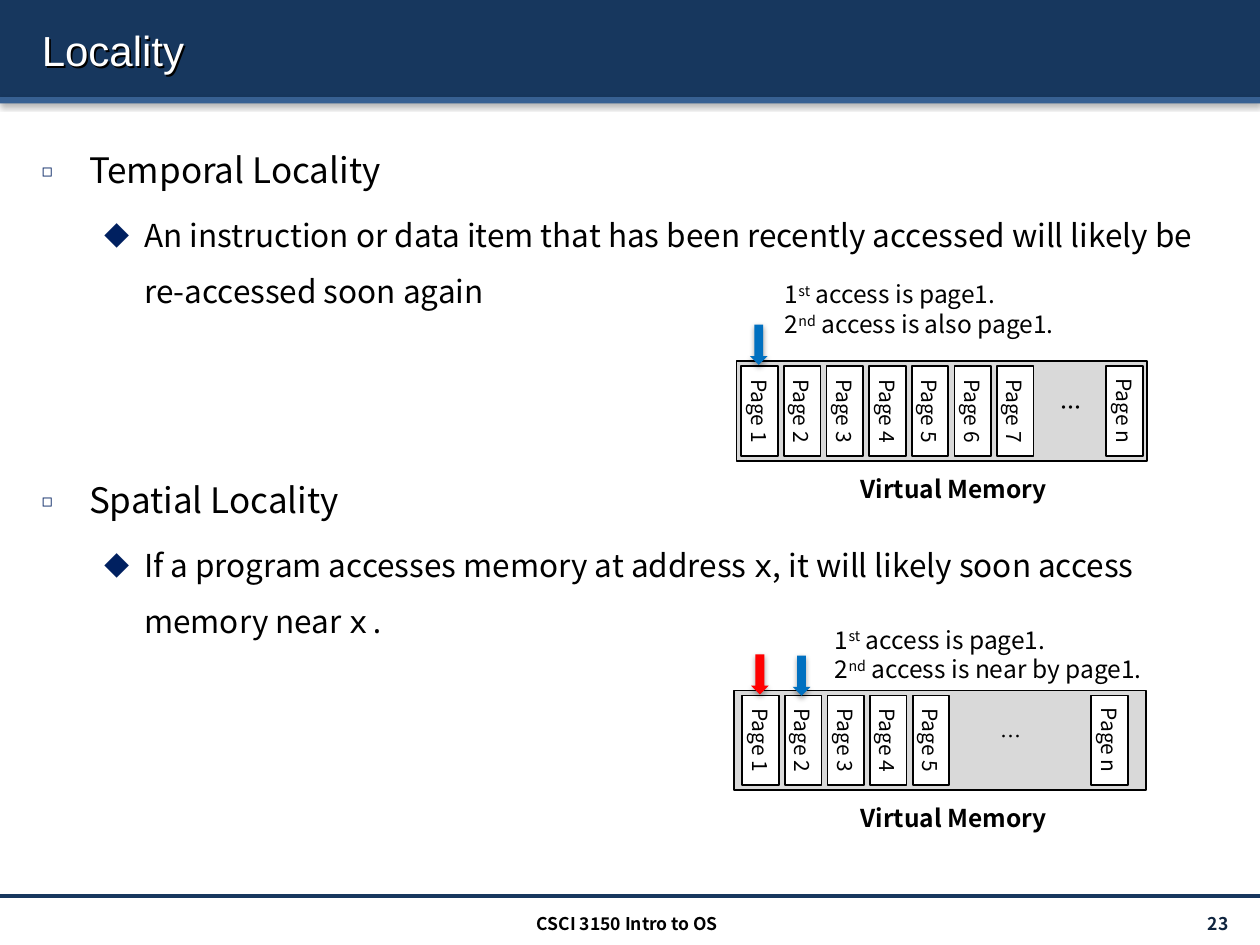
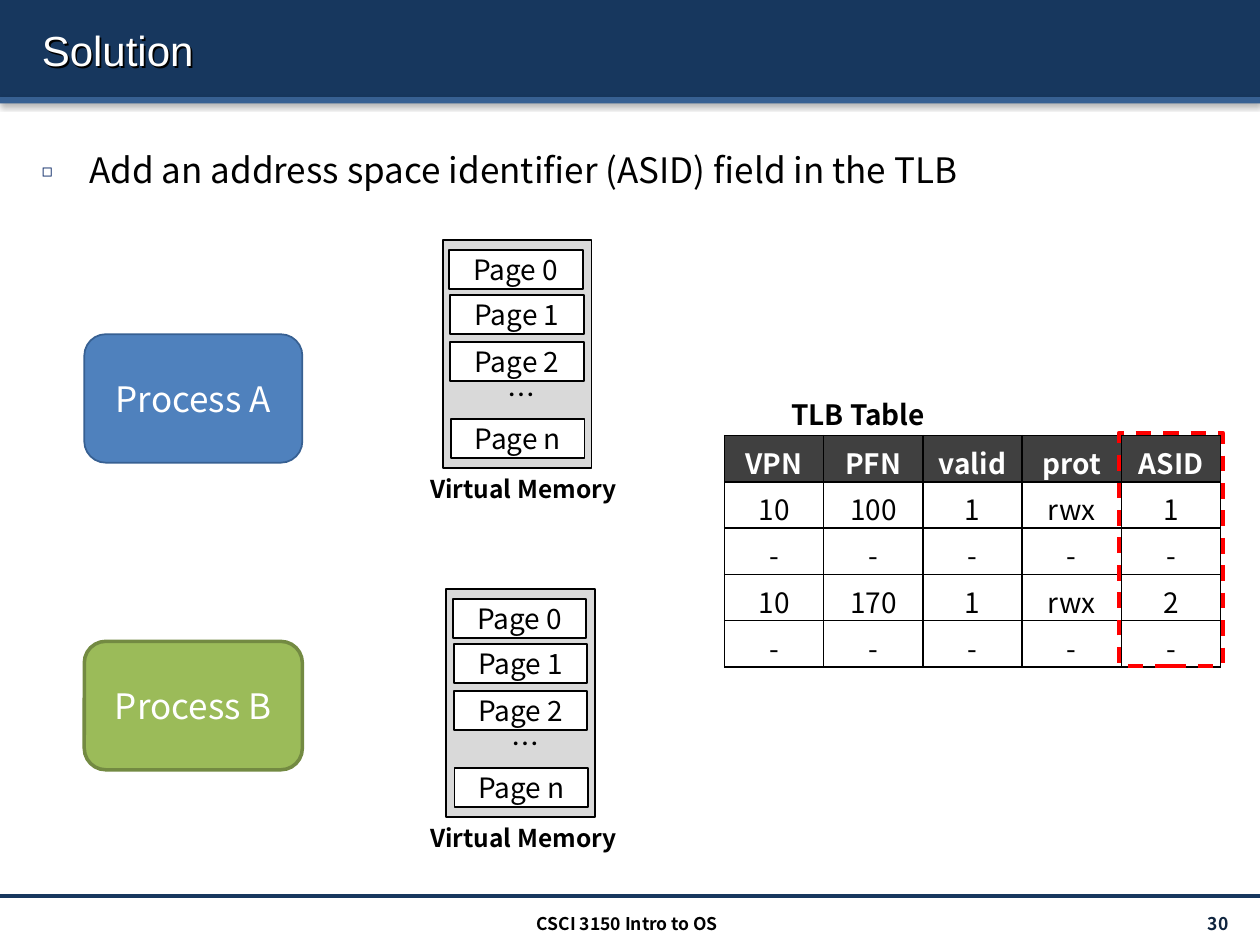
from lxml import etree
from pptx import Presentation
from pptx.dml.color import RGBColor
from pptx.enum.dml import MSO_LINE
from pptx.enum.shapes import MSO_CONNECTOR, MSO_SHAPE
from pptx.enum.text import MSO_ANCHOR, PP_ALIGN
from pptx.oxml import parse_xml
from pptx.oxml.ns import qn
from pptx.util import Pt

RECT, ROUND, ARROW = MSO_SHAPE.RECTANGLE, MSO_SHAPE.ROUNDED_RECTANGLE, MSO_SHAPE.DOWN_ARROW
LEFT, CENTER, RIGHT = PP_ALIGN.LEFT, PP_ALIGN.CENTER, PP_ALIGN.RIGHT
TOP, MIDDLE = MSO_ANCHOR.TOP, MSO_ANCHOR.MIDDLE
SANS, MONO = "Noto Sans CJK KR", "Noto Sans Mono"
NAVY, STEEL, BULLET = "17375E", "376092", "002060"
BLACK, WHITE, GREY = "000000", "FFFFFF", "D9D9D9"
RED, BLUE = "FF0000", "0070C0"
A = "http://schemas.openxmlformats.org/drawingml/2006/main"
SHADOW = (f'<a:effectLst xmlns:a="{A}"><a:outerShdw blurRad="40000" dist="20000" '
          'dir="5400000" rotWithShape="0"><a:srgbClr val="000000">'
          '<a:alpha val="38000"/></a:srgbClr></a:outerShdw></a:effectLst>')
# Crisp black shadow towards the lower right
TITLE_SHADOW = (f'<a:effectLst xmlns:a="{A}"><a:outerShdw blurRad="0" dist="18000" '
                'dir="2700000"><a:srgbClr val="000000"/></a:outerShdw></a:effectLst>')
rgb = RGBColor.from_string


def write(p, text, size=14, color=BLACK, bold=False, font=SANS, align=LEFT, sup=False):
    """Add one formatted run to a paragraph."""
    p.alignment = align
    r = p.add_run()
    r.text = text
    r.font.size, r.font.bold, r.font.name = Pt(size), bold, font
    r.font.color.rgb = rgb(color)
    if sup:
        r.font._element.set("baseline", "30000")


def add_box(s, kind, x, y, w, h, fill=None, line=None, width=1, shadow=None,
            rot=0, anchor=MIDDLE, inset=7.2):
    """Add a preset shape, or a text box when kind is None."""
    frame = Pt(x), Pt(y), Pt(w), Pt(h)
    sp = s.shapes.add_textbox(*frame) if kind is None else s.shapes.add_shape(kind, *frame)
    sp.rotation = rot
    if fill:
        sp.fill.solid()
        sp.fill.fore_color.rgb = rgb(fill)
    else:
        sp.fill.background()
    if line:
        sp.line.color.rgb = rgb(line)
        sp.line.width = Pt(width)
    else:
        sp.line.fill.background()
    sp.shadow.inherit = False
    if shadow:
        pr = sp._element.spPr
        pr.replace(pr.find(qn("a:effectLst")), parse_xml(shadow))
    tf = sp.text_frame
    tf.word_wrap = True
    tf.vertical_anchor = anchor
    tf.margin_left = tf.margin_right = Pt(inset)
    return sp


prs = Presentation()
prs.slide_width, prs.slide_height = Pt(720), Pt(540)

TOPICS = [
    ("Locality", "23", [
        (69.5, [(0, [("Temporal Locality", SANS)]),
                (1, [("An instruction or data item that has been recently accessed "
                      "will likely be re-accessed soon again", SANS)])]),
        (258, [(0, [("Spatial Locality", SANS)]),
               (1, [("If a program accesses memory at address ", SANS), ("x", MONO),
                    (", it will likely soon access memory near ", SANS),
                    ("x.", MONO)])]),
    ]),
    ("Solution", "30", [
        (69.5, [(0, [("Add an address space identifier (ASID) field in the TLB", SANS)])]),
    ]),
]
# level: left margin, hanging indent, text size, bullet, bullet size in percent
LEVELS = [(27, 27, 20, "◻", 50), (58.5, 22.5, 18, "◆", 80)]

# Shared bands, title, footer and bulleted text
for title, number, blocks in TOPICS:
    s = prs.slides.add_slide(prs.slide_layouts[6])
    add_box(s, RECT, 0, 0, 720, 55.5, fill=NAVY, shadow=SHADOW)
    add_box(s, RECT, 0, 55.5, 720, 3.6, fill=STEEL, shadow=SHADOW)
    rule = s.shapes.add_connector(MSO_CONNECTOR.STRAIGHT, 0, Pt(512), Pt(720), Pt(512))
    rule.line.color.rgb = rgb(NAVY)
    rule.line.width = Pt(2)
    etree.SubElement(rule._element.spPr, qn("a:effectLst"))

    sp = add_box(s, None, 16.8, 5.5, 692, 46, shadow=TITLE_SHADOW)
    write(sp.text_frame.paragraphs[0], title, 24, WHITE, font="Arial")
    sp = add_box(s, None, 627, 519, 82, 17.5)
    write(sp.text_frame.paragraphs[0], number, 10, "0F243E", True, align=RIGHT)
    sp = add_box(s, None, 239, 518, 239, 17.5, anchor=TOP)
    write(sp.text_frame.paragraphs[0], "CSCI 3150 Intro to OS", 10, bold=True, align=CENTER)

    for y, items in blocks:
        tf = add_box(s, None, 16.8, y, 692, 150, anchor=TOP).text_frame
        for i, (level, runs) in enumerate(items):
            margin, hang, size, char, percent = LEVELS[level]
            p = tf.add_paragraph() if i else tf.paragraphs[0]
            pPr = p._p.get_or_add_pPr()
            pPr.set("marL", str(Pt(margin)))
            pPr.set("indent", str(-Pt(hang)))
            clr = etree.SubElement(pPr, qn("a:buClr"))
            etree.SubElement(clr, qn("a:srgbClr"), val=BULLET)
            etree.SubElement(pPr, qn("a:buSzPct"), val=str(percent * 1000))
            etree.SubElement(pPr, qn("a:buFont"), typeface=SANS)
            etree.SubElement(pPr, qn("a:buChar"), char=char)
            p.line_spacing = 1.5
            p.space_before = Pt(3.5 if i else 0)
            for text, font in runs:
                write(p, text, size, font=font)

locality, solution = prs.slides

# Locality: strips of pages, with their access arrows and captions
STRIPS = [
    dict(frame=(420.8, 206.3, 234.8, 57), x=408.5, y=224.4, count=7, last=617,
         dots=(586.4, 221.8), dots_align=CENTER, bold=True, note=(441.4, 156.2),
         second=" access is also page1.", label=267.1, arrows=[(428.6, 185.5, BLUE)]),
    dict(frame=(419.4, 394.6, 235.4, 57), x=409, y=412.6, count=5, last=608.4,
         dots=(564.5, 409.7), dots_align=LEFT, bold=False, note=(470, 353.5),
         second=" access is near by page1.", label=455.5,
         arrows=[(429.2, 373.9, RED), (453, 374.6, BLUE)]),
]
for strip in STRIPS:
    add_box(locality, RECT, *strip["frame"], fill=GREY, line=BLACK)
    pages = [(f"Page {i + 1}", strip["x"] + 24.35 * i) for i in range(strip["count"])]
    for name, x in pages + [("Page n", strip["last"])]:
        sp = add_box(locality, RECT, x, strip["y"], 51.1, 20.9, WHITE, BLACK, rot=90, inset=0)
        write(sp.text_frame.paragraphs[0], name, 12, align=CENTER)
    sp = add_box(locality, None, *strip["dots"], 51.1, 21.6, anchor=TOP)
    write(sp.text_frame.paragraphs[0], "…", 12, bold=strip["bold"], align=strip["dots_align"])
    for x, y, color in strip["arrows"]:
        add_box(locality, ARROW, x, y, 10.1, 23, fill=color, shadow=SHADOW)

    tf = add_box(locality, None, *strip["note"], 205, 41, anchor=TOP).text_frame
    lines = [("1", "st", " access is page1."), ("2", "nd", strip["second"])]
    for i, (digit, suffix, rest) in enumerate(lines):
        p = tf.add_paragraph() if i else tf.paragraphs[0]
        write(p, digit)
        write(p, suffix, sup=True)
        write(p, rest)
    sp = add_box(locality, None, 484.6, strip["label"], 130, 24.5, anchor=TOP)
    write(sp.text_frame.paragraphs[0], "Virtual Memory", bold=True)

# Solution: processes and their page stacks
PROCESSES = [
    ("Process A", 191, "4F81BD", STEEL, 1, 253, 137),
    ("Process B", 366.5, "9BBB59", "738A42", 2, 255, 336.4),
]
PAGES = [("Page 0", 3.7, 5.8), ("Page 1", 4.3, 31.6), ("Page 2", 4.3, 58.4),
         ("Page n", 4.8, 102.3)]
for name, top, fill, line, width, x, y in PROCESSES:
    sp = add_box(solution, ROUND, 48.2, top, 124.6, 73.4, fill, line, width)
    write(sp.text_frame.paragraphs[0], name, 20, WHITE, align=CENTER)
    add_box(solution, RECT, x, y, 85, 130.3, GREY, BLACK)
    for page, dx, dy in PAGES:
        sp = add_box(solution, RECT, x + dx, y + dy, 76.3, 22.3, WHITE, BLACK, inset=0)
        write(sp.text_frame.paragraphs[0], page, 16, align=CENTER)
    sp = add_box(solution, None, x + 30, y + 75.4, 83.5, 26.6, anchor=TOP)
    write(sp.text_frame.paragraphs[0], "…", 16)
    sp = add_box(solution, None, 230, y + 130.1, 138.2, 24.5, anchor=TOP)
    write(sp.text_frame.paragraphs[0], "Virtual Memory", bold=True, align=CENTER)

# Solution: TLB table
sp = add_box(solution, RECT, 445, 223.5, 111, 25, fill=WHITE, anchor=TOP)
write(sp.text_frame.paragraphs[0], "TLB Table", 16, bold=True)
ROWS = [
    ("VPN", "PFN", "valid", "prot", "ASID"),
    ("10", "100", "1", "rwx", "1"),
    ("-",) * 5,
    ("10", "170", "1", "rwx", "2"),
    ("-",) * 5,
]
table = solution.shapes.add_table(5, 5, Pt(414), Pt(249), Pt(283.5), Pt(132)).table
table.first_row = table.horz_banding = False
for col in table.columns:
    col.width = Pt(56.7)
for i, values in enumerate(ROWS):
    table.rows[i].height = Pt(26.4)
    for j, value in enumerate(values):
        cell = table.cell(i, j)
        tcPr = cell._tc.get_or_add_tcPr()
        for side in ("lnL", "lnR", "lnT", "lnB"):
            ln = etree.SubElement(tcPr, qn(f"a:{side}"), w=str(Pt(1)))
            edge = etree.SubElement(ln, qn("a:solidFill"))
            etree.SubElement(edge, qn("a:srgbClr"), val=BLACK)
        cell.fill.solid()
        cell.fill.fore_color.rgb = rgb(WHITE if i else "404040")
        write(cell.text_frame.paragraphs[0], value, 16, BLACK if i else WHITE,
              bold=i == 0, align=CENTER)

# Solution: dashed outline around the ASID column
sp = add_box(solution, RECT, 639.4, 247.3, 59.3, 133.2, line=RED, width=2.25)
sp.line.dash_style = MSO_LINE.DASH

prs.save("out.pptx")
